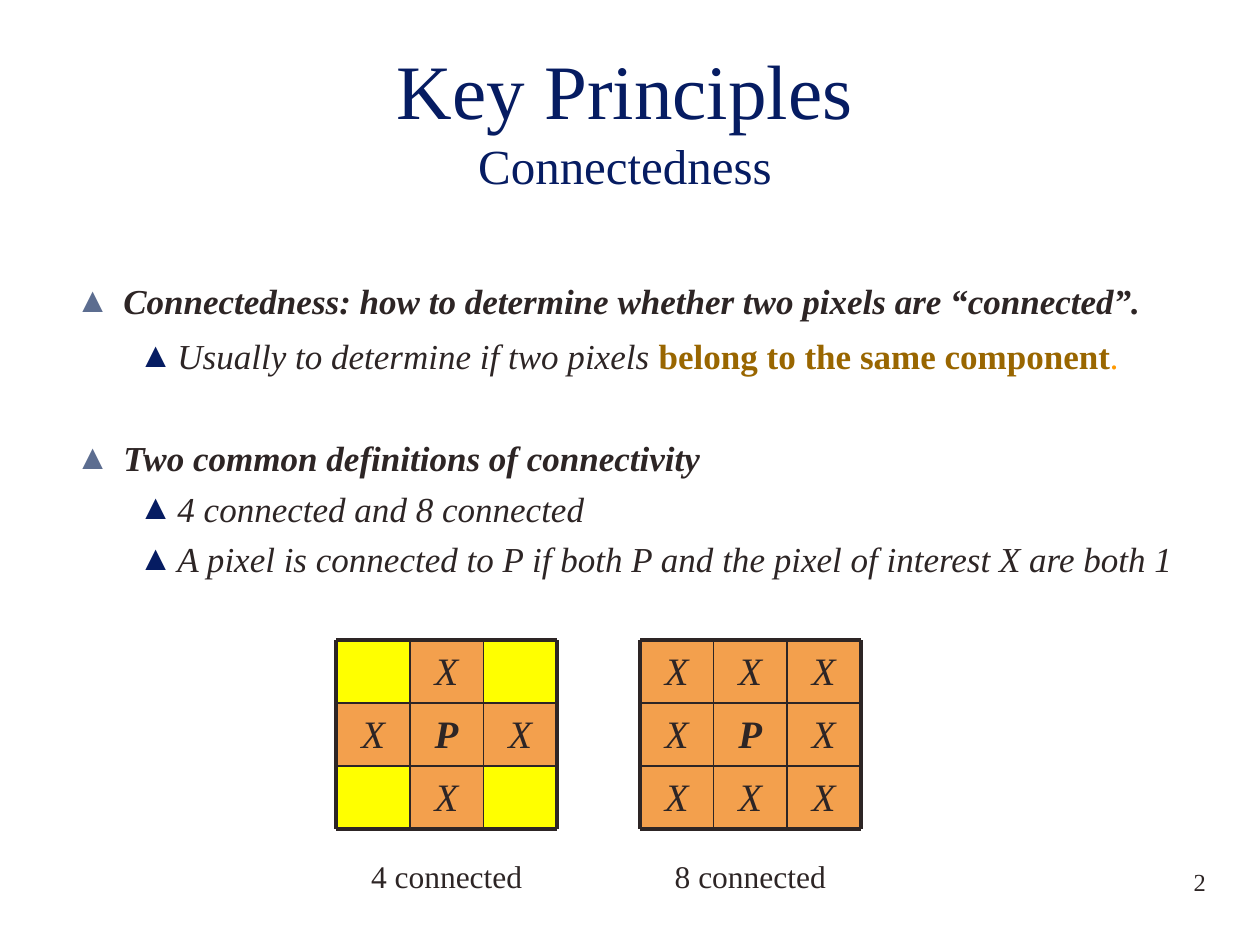
"""Build the slide that explains 4 connected and 8 connected pixels."""
from dataclasses import dataclass
from typing import Optional

from lxml import etree
from pptx import Presentation
from pptx.dml.color import RGBColor
from pptx.enum.shapes import MSO_CONNECTOR, MSO_SHAPE
from pptx.enum.text import MSO_ANCHOR, PP_ALIGN
from pptx.oxml.ns import qn
from pptx.shapes.group import GroupShape
from pptx.slide import Slide
from pptx.util import Inches, Pt

RECTANGLE = MSO_SHAPE.RECTANGLE
STRAIGHT = MSO_CONNECTOR.STRAIGHT
CENTER, RIGHT = PP_ALIGN.CENTER, PP_ALIGN.RIGHT
TOP, MIDDLE = MSO_ANCHOR.TOP, MSO_ANCHOR.MIDDLE


@dataclass(frozen=True)
class Theme:
    font: str = "Times New Roman"
    navy: str = "061C62"
    slate: str = "5C6D90"
    ink: str = "2D2525"
    brown: str = "996600"
    amber: str = "FF9900"
    neighbour: str = "F3A04D"
    unconnected: str = "FFFF00"
    title_size: float = 44
    subtitle_size: float = 28
    body_size: float = 20
    cell_size: float = 22.2
    caption_size: float = 18
    number_size: float = 14
    border: float = 2.25
    gridline: float = 1


THEME = Theme()


@dataclass(frozen=True)
class Span:
    text: str
    size: float = THEME.body_size
    color: str = THEME.ink
    bold: bool = False
    italic: bool = False


@dataclass(frozen=True)
class Point:
    spans: tuple[Span, ...]
    level: int = 0
    space_before: float = 5


@dataclass(frozen=True)
class Neighbourhood:
    caption: str
    left: float
    rows: tuple[str, str, str]


TITLE = (
    Span("Key Principles\v", THEME.title_size, THEME.navy),
    Span("Connectedness", THEME.subtitle_size, THEME.navy),
)
POINTS = (
    Point((Span("Connectedness: how to determine whether two pixels are “connected”.",
                bold=True, italic=True),)),
    Point((Span("Usually to determine if two pixels ", italic=True),
           Span("belong to the same component", color=THEME.brown, bold=True),
           Span(".", color=THEME.amber, italic=True)), level=1, space_before=7.5),
    Point((Span("Two common definitions of connectivity", bold=True, italic=True),),
          space_before=34),
    Point((Span("4 connected and 8 connected", italic=True),), level=1),
    Point((Span("A pixel is connected to P if both P and the pixel of interest X are both 1",
                italic=True),), level=1),
)
NEIGHBOURHOODS = (
    Neighbourhood("4 connected", 2.67, (" X ", "XPX", " X ")),
    Neighbourhood("8 connected", 5.08, ("XXX", "XPX", "XXX")),
)
GRID_TOP = 5.08
GRID_WIDTH = 1.75
CELL_WIDTH = GRID_WIDTH / 3
CELL_HEIGHT = 0.5


def write_spans(paragraph, spans: tuple[Span, ...]) -> None:
    """Fill a paragraph with formatted runs."""
    for span in spans:
        run = paragraph.add_run()
        run.text = span.text.rstrip("\v")
        if span.text.endswith("\v"):
            paragraph.add_line_break()
        font = run.font
        font.name, font.size = THEME.font, Pt(span.size)
        font.bold, font.italic = span.bold, span.italic
        font.color.rgb = RGBColor.from_string(span.color)


def add_text(shapes, box: tuple[float, float, float, float], spans: tuple[Span, ...],
             align: PP_ALIGN, anchor: Optional[MSO_ANCHOR] = None) -> None:
    """Add a wrapped text box with one paragraph."""
    frame = shapes.add_textbox(*map(Inches, box)).text_frame
    frame.word_wrap = True
    frame.vertical_anchor = anchor
    frame.paragraphs[0].alignment = align
    write_spans(frame.paragraphs[0], spans)


def set_bullet(paragraph, level: int) -> None:
    """Give a paragraph the triangle bullet and indent of its level."""
    margin, indent, color = ((0.38, -0.38, THEME.slate), (0.81, -0.31, THEME.navy))[level]
    paragraph.level = level
    properties = paragraph._p.get_or_add_pPr()
    properties.set("marL", str(Inches(margin)))
    properties.set("indent", str(Inches(indent)))
    bullet_color = etree.SubElement(properties, qn("a:buClr"))
    etree.SubElement(bullet_color, qn("a:srgbClr"), val=color)
    etree.SubElement(properties, qn("a:buFont"), typeface=THEME.font)
    etree.SubElement(properties, qn("a:buChar"), char="▲")


def add_points(slide: Slide) -> None:
    """Add the bulleted explanation."""
    frame = slide.shapes.add_textbox(
        Inches(0.5), Inches(2), Inches(9.08), Inches(4.5)).text_frame
    frame.word_wrap = True
    frame.margin_top = Inches(0.22)
    for index, point in enumerate(POINTS):
        paragraph = frame.add_paragraph() if index else frame.paragraphs[0]
        paragraph.space_before = Pt(point.space_before)
        set_bullet(paragraph, point.level)
        write_spans(paragraph, point.spans)


def add_pixel(group: GroupShape, left: float, top: float, mark: str) -> None:
    """Add one pixel cell with its mark, if any."""
    pixel = group.shapes.add_shape(
        RECTANGLE, Inches(left), Inches(top), Inches(CELL_WIDTH), Inches(CELL_HEIGHT))
    pixel.shadow.inherit = False
    pixel.line.fill.background()
    pixel.fill.solid()
    connected = mark != " "
    pixel.fill.fore_color.rgb = RGBColor.from_string(
        THEME.neighbour if connected else THEME.unconnected)
    if connected:
        pixel.text_frame.vertical_anchor = TOP
        paragraph = pixel.text_frame.paragraphs[0]
        paragraph.alignment = CENTER
        write_spans(paragraph, (Span(mark, THEME.cell_size, bold=mark == "P", italic=True),))


def add_rule(group: GroupShape, start: tuple[float, float], end: tuple[float, float],
             width: float) -> None:
    """Add one straight line of a grid."""
    rule = group.shapes.add_connector(STRAIGHT, *map(Inches, start + end))
    rule.line.color.rgb = RGBColor.from_string(THEME.ink)
    rule.line.width = Pt(width)
    etree.SubElement(rule._element.spPr, qn("a:effectLst"))


def add_neighbourhood(slide: Slide, item: Neighbourhood) -> None:
    """Add a captioned three by three pixel grid as a group."""
    group = slide.shapes.add_group_shape()
    for row, marks in enumerate(item.rows):
        for column, mark in enumerate(marks):
            add_pixel(group, item.left + column * CELL_WIDTH,
                      GRID_TOP + row * CELL_HEIGHT, mark)
    right, bottom = item.left + GRID_WIDTH, GRID_TOP + 3 * CELL_HEIGHT
    for step in range(4):
        width = THEME.border if step in (0, 3) else THEME.gridline
        x, y = item.left + step * CELL_WIDTH, GRID_TOP + step * CELL_HEIGHT
        add_rule(group, (item.left, y), (right, y), width)
        add_rule(group, (x, GRID_TOP), (x, bottom), width)
    add_text(group.shapes, (item.left, 6.75, GRID_WIDTH, 0.4),
             (Span(item.caption, THEME.caption_size),), CENTER)


def main() -> None:
    """Build and save the slide."""
    presentation = Presentation()
    presentation.slide_width, presentation.slide_height = Inches(10), Inches(7.5)
    slide = presentation.slides.add_slide(presentation.slide_layouts[6])
    add_text(slide.shapes, (0.25, 0.23, 9.42, 1.42), TITLE, CENTER, MIDDLE)
    add_points(slide)
    for item in NEIGHBOURHOODS:
        add_neighbourhood(slide, item)
    add_text(slide.shapes, (8, 6.83, 1.67, 0.5), (Span("2", THEME.number_size),), RIGHT)
    presentation.save("out.pptx")


if __name__ == "__main__":
    main()
